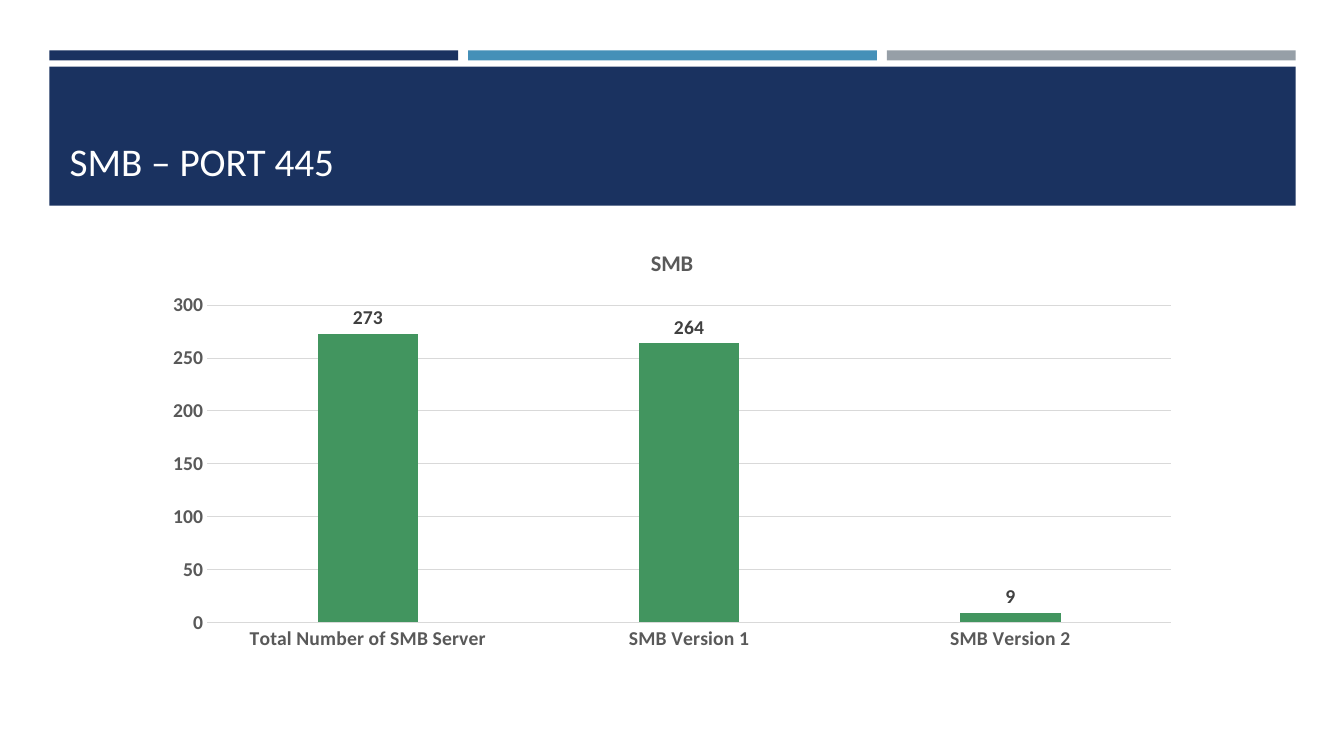
from pptx import Presentation
from pptx import util as u
from pptx.chart.data import CategoryChartData
from pptx.dml.color import RGBColor
from pptx.enum import chart as charts, shapes, text

NAVY = RGBColor(0x1A, 0x32, 0x60)
BLUE = RGBColor(0x45, 0x90, 0xB8)
GRAY = RGBColor(0x96, 0x9F, 0xA7)
GREEN = RGBColor(0x42, 0x95, 0x5F)
WHITE = RGBColor(0xFF, 0xFF, 0xFF)
AXIS_TEXT = RGBColor(0x59, 0x59, 0x59)
LABEL_TEXT = RGBColor(0x40, 0x40, 0x40)
GRID = RGBColor(0xD9, 0xD9, 0xD9)
FONT = "Calibri"


def style_font(font, size, color, bold=False):
    font.name = FONT
    font.size = u.Pt(size)
    font.bold = bold
    font.color.rgb = color


def write(frame, wording, size, color, bold=False):
    span = frame.paragraphs[0].add_run()
    span.text = wording
    style_font(span.font, size, color, bold)


def style_line(line, color):
    line.color.rgb = color
    line.width = u.Pt(0.75)


def add_bar(page, left, top, width, height, color):
    bar = page.shapes.add_shape(
        shapes.MSO_SHAPE.RECTANGLE,
        *(u.Inches(length) for length in (left, top, width, height)))
    bar.shadow.inherit = False
    bar.fill.solid()
    bar.fill.fore_color.rgb = color
    bar.line.fill.background()


def add_stripes(page, left, top, width, height, gap=0.1):
    colors = (NAVY, BLUE, GRAY)
    stripe = (width - gap * (len(colors) - 1)) / len(colors)
    for index, color in enumerate(colors):
        add_bar(page, left + index * (stripe + gap), top, stripe, height, color)


def add_banner(page, left, top, width, height, wording):
    add_bar(page, left, top, width, height, NAVY)
    box = page.shapes.add_textbox(
        u.Inches(left + 0.15), u.Inches(top + 0.14),
        u.Inches(width - 0.3), u.Inches(height - 0.3))
    frame = box.text_frame
    frame.word_wrap = True
    frame.vertical_anchor = text.MSO_ANCHOR.BOTTOM
    frame.margin_left = frame.margin_right = u.Inches(0.05)
    frame.margin_top = frame.margin_bottom = u.Inches(0.05)
    write(frame, wording, 28, WHITE)


def add_server_chart(page, left, top, width, height):
    data = CategoryChartData()
    data.categories = ["Total Number of SMB Server", "SMB Version 1", "SMB Version 2"]
    data.add_series("Series 1", (273, 264, 9))
    chart = page.shapes.add_chart(
        charts.XL_CHART_TYPE.COLUMN_CLUSTERED,
        *(u.Inches(length) for length in (left, top, width, height)), data).chart
    style_font(chart.font, 14, AXIS_TEXT, bold=True)
    chart.has_legend = False
    chart.has_title = True
    write(chart.chart_title.text_frame, "SMB", 16, AXIS_TEXT, bold=True)
    chart.chart_title.include_in_layout = False

    for axis in (chart.category_axis, chart.value_axis):
        axis.major_tick_mark = axis.minor_tick_mark = charts.XL_TICK_MARK.NONE
        style_font(axis.tick_labels.font, 14, AXIS_TEXT, bold=True)
    style_line(chart.category_axis.format.line, GRID)
    chart.value_axis.format.line.fill.background()
    style_line(chart.value_axis.major_gridlines.format.line, GRID)

    plot = chart.plots[0]
    plot.vary_by_categories = False
    plot.gap_width = 219
    plot.overlap = -27
    series = plot.series[0]
    series.format.fill.solid()
    series.format.fill.fore_color.rgb = GREEN
    labels = series.data_labels
    labels.show_value = True
    labels.position = charts.XL_LABEL_POSITION.OUTSIDE_END
    style_font(labels.font, 14, LABEL_TEXT, bold=True)


def main():
    deck = Presentation()
    deck.slide_width = u.Inches(13.33)
    deck.slide_height = u.Inches(7.5)
    page = deck.slides.add_slide(deck.slide_layouts[6])
    add_stripes(page, 0.49, 0.5, 12.36, 0.1)
    add_banner(page, 0.49, 0.66, 12.36, 1.38, "SMB – PORT 445")
    add_server_chart(page, 1.51, 2.28, 10.31, 4.26)
    deck.save("out.pptx")


if __name__ == "__main__":
    main()
